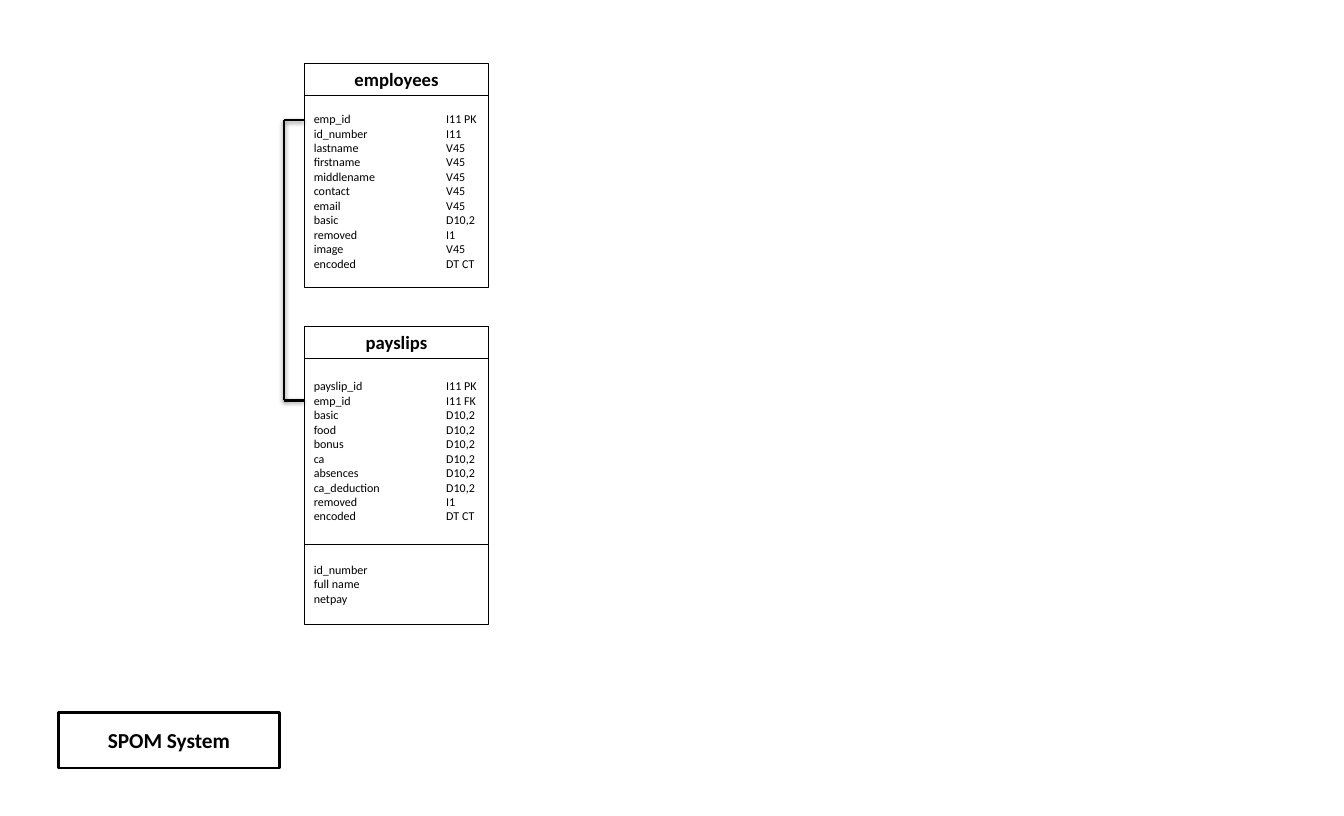
"""Draw the SPOM System schema: two linked tables and a name plate."""
from dataclasses import dataclass

from lxml.etree import SubElement
from pptx import Presentation
from pptx.dml.color import RGBColor
from pptx.enum.shapes import MSO_CONNECTOR as Connector, MSO_SHAPE as Shape
from pptx.enum.text import MSO_ANCHOR as Anchor, PP_ALIGN as Align
from pptx.oxml.ns import qn
from pptx.util import Inches, Pt


@dataclass(frozen=True)
class Theme:
    font: str = "Calibri"
    ink: RGBColor = RGBColor(0, 0, 0)
    paper: RGBColor = RGBColor(255, 255, 255)
    field_size: Pt = Pt(9)
    heading_size: Pt = Pt(14)
    system_size: Pt = Pt(16)
    thin: Pt = Pt(0.5)
    thick: Pt = Pt(2)


theme = Theme()
deck = Presentation()
deck.slide_width, deck.slide_height = Inches(14), Inches(8.5)
page = deck.slides.add_slide(deck.slide_layouts[6])

TABLE_LEFT, TABLE_WIDTH, HEADER_HEIGHT = 3.17, 1.92, 0.33
TYPE_COLUMN = Inches(1.38)
LINK_LEFT = 2.96


def add_box(shapes, left, top, width, height, lines, size, line_width, heading=False):
    box = shapes.add_shape(Shape.RECTANGLE, *map(Inches, (left, top, width, height)))
    box.shadow.inherit = False
    box.fill.solid()
    box.fill.fore_color.rgb = theme.paper
    box.line.color.rgb = theme.ink
    box.line.width = line_width
    frame = box.text_frame
    frame.word_wrap = True
    frame.vertical_anchor = Anchor.MIDDLE
    frame.text = "\n".join(lines)
    for para in frame.paragraphs:
        para.alignment = Align.CENTER if heading else Align.LEFT
        para.font.name = theme.font
        para.font.size = size
        para.font.bold = heading
        para.font.color.rgb = theme.ink
        if "\t" in para.text:
            properties = para._p.get_or_add_pPr()
            tabs = SubElement(properties, qn("a:tabLst"))
            SubElement(tabs, qn("a:tab"), pos=str(TYPE_COLUMN), algn="l")
            properties.insert(0, tabs)


tables = [
    ("employees", 0.66, 2.0, [
        ("emp_id", "I11 PK"), ("id_number", "I11"), ("lastname", "V45"),
        ("firstname", "V45"), ("middlename", "V45"), ("contact", "V45"),
        ("email", "V45"), ("basic", "D10,2"), ("removed", "I1"),
        ("image", "V45"), ("encoded", "DT CT"),
    ]),
    ("payslips", 3.4, 1.94, [
        ("payslip_id", "I11 PK"), ("emp_id", "I11 FK"), ("basic", "D10,2"),
        ("food", "D10,2"), ("bonus", "D10,2"), ("ca", "D10,2"),
        ("absences", "D10,2"), ("ca_deduction", "D10,2"), ("removed", "I1"),
        ("encoded", "DT CT"),
    ]),
]
for name, top, height, fields in tables:
    group = page.shapes.add_group_shape()
    body_top = top + HEADER_HEIGHT
    add_box(group.shapes, TABLE_LEFT, body_top, TABLE_WIDTH, height,
            ["\t".join(field) for field in fields], theme.field_size, theme.thin)
    add_box(group.shapes, TABLE_LEFT, top, TABLE_WIDTH, HEADER_HEIGHT,
            [name], theme.heading_size, theme.thin, heading=True)

add_box(page.shapes, TABLE_LEFT, body_top + height, TABLE_WIDTH, 0.83,
        ["id_number", "full name", "netpay"], theme.field_size, theme.thin)
add_box(page.shapes, 0.61, 7.42, 2.3, 0.58,
        ["SPOM System"], theme.system_size, theme.thick, heading=True)

primary_key, foreign_key = 1.25, 4.17
for ends in [
    (LINK_LEFT, foreign_key, LINK_LEFT, primary_key),
    (LINK_LEFT, primary_key, TABLE_LEFT, primary_key),
    (LINK_LEFT, foreign_key, TABLE_LEFT, foreign_key),
]:
    link = page.shapes.add_connector(Connector.STRAIGHT, *map(Inches, ends))
    link.line.color.rgb = theme.ink
    link.line.width = theme.thick

deck.save("out.pptx")
